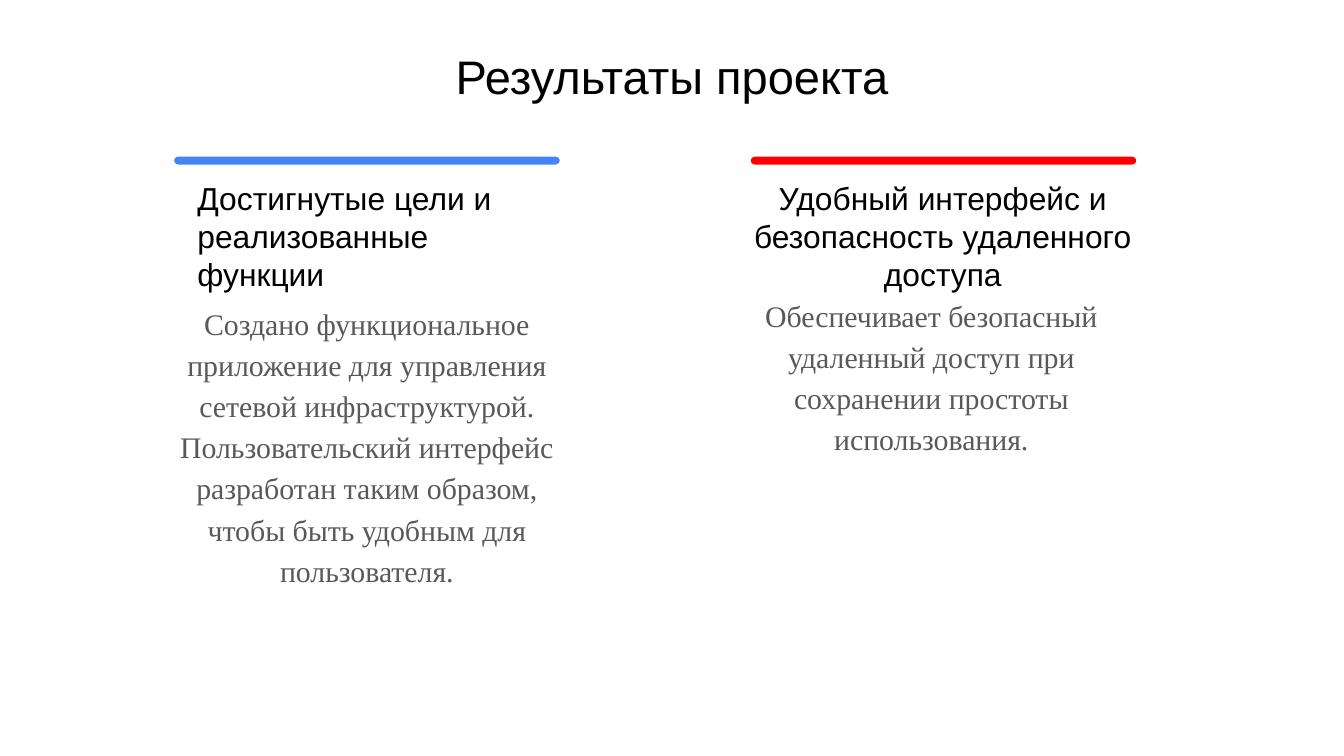
from dataclasses import dataclass

from pptx import Presentation
from pptx.dml.color import RGBColor
from pptx.enum.shapes import MSO_SHAPE
from pptx.enum.text import MSO_ANCHOR, PP_ALIGN
from pptx.util import Inches, Pt

ROUNDED = MSO_SHAPE.ROUNDED_RECTANGLE
LEFT, CENTER = PP_ALIGN.LEFT, PP_ALIGN.CENTER
TOP, MIDDLE = MSO_ANCHOR.TOP, MSO_ANCHOR.MIDDLE


@dataclass(frozen=True)
class Theme:
    background: str = "FFFFFF"
    heading_color: str = "000000"
    body_color: str = "595959"
    blue: str = "4285F4"
    red: str = "FF0000"
    heading_font: str = "Arial"
    body_font: str = "Times New Roman"
    title_size: float = 25.2
    heading_size: float = 17
    body_size: float = 16


THEME = Theme()


def add_text(slide, text, *, box, size, font=THEME.heading_font,
             color=THEME.heading_color, align=CENTER, anchor=TOP, line_spacing=1.0):
    shape = slide.shapes.add_textbox(*map(Inches, box))
    frame = shape.text_frame
    frame.word_wrap = True
    frame.vertical_anchor = anchor
    frame.margin_left = frame.margin_right = Inches(0.1)
    frame.margin_top = frame.margin_bottom = Inches(0.1)
    paragraph = frame.paragraphs[0]
    paragraph.alignment = align
    paragraph.line_spacing = line_spacing
    run = paragraph.add_run()
    run.text = text
    run.font.size = Pt(size)
    run.font.name = font
    run.font.color.rgb = RGBColor.from_string(color)


def add_accent_bar(slide, left, color):
    shape = slide.shapes.add_shape(
        ROUNDED, Inches(left), Inches(1.16), Inches(2.88), Inches(0.07))
    shape.shadow.inherit = False
    shape.adjustments[0] = 0.5
    shape.fill.solid()
    shape.fill.fore_color.rgb = RGBColor.from_string(color)
    shape.line.color.rgb = RGBColor.from_string(THEME.background)
    shape.line.width = Pt(0.75)


def add_result(slide, heading, body, *, bar_left, color, heading_box, body_box,
               heading_align=CENTER):
    add_accent_bar(slide, bar_left, color)
    add_text(slide, heading, box=heading_box, size=THEME.heading_size,
             align=heading_align)
    add_text(slide, body, box=body_box, size=THEME.body_size, font=THEME.body_font,
             color=THEME.body_color, anchor=MIDDLE, line_spacing=1.15)


def main():
    presentation = Presentation()
    presentation.slide_width = Inches(10)
    presentation.slide_height = Inches(10) * 9 // 16
    slide = presentation.slides.add_slide(presentation.slide_layouts[6])
    slide.background.fill.solid()
    slide.background.fill.fore_color.rgb = RGBColor.from_string(THEME.background)

    add_text(slide, "Результаты проекта", box=(0.74, 0.25, 8.52, 0.59),
             size=THEME.title_size)
    add_result(
        slide,
        "Достигнутые цели и реализованные функции",
        "Создано функциональное приложение для управления сетевой "
        "инфраструктурой. Пользовательский интерфейс разработан таким образом, "
        "чтобы быть удобным для пользователя.",
        bar_left=1.29, color=THEME.blue, heading_align=LEFT,
        heading_box=(1.37, 1.23, 2.88, 0.66), body_box=(1.17, 2.22, 3.12, 2.17))
    add_result(
        slide,
        "Удобный интерфейс и безопасность удаленного доступа",
        "Обеспечивает безопасный удаленный доступ при сохранении простоты "
        "использования.",
        bar_left=5.58, color=THEME.red,
        heading_box=(5.49, 1.23, 3.05, 1.06), body_box=(5.49, 2.12, 2.88, 1.33))

    presentation.save("out.pptx")


if __name__ == "__main__":
    main()
